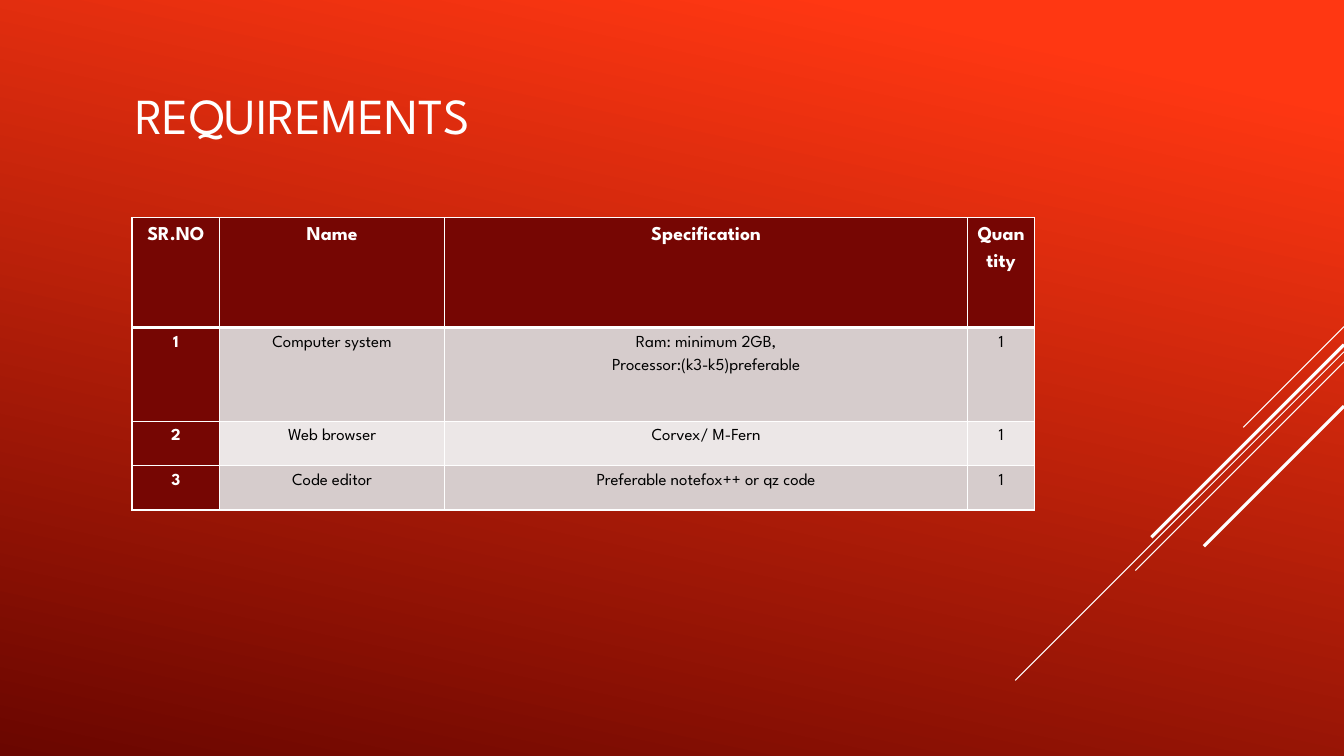
from lxml import etree
from pptx import Presentation
from pptx import util as u
from pptx.dml.color import RGBColor
from pptx.enum import shapes, text
from pptx.oxml.ns import qn

FONT = "League Spartan"
COLORS = {
    "glow": "FF3712", "ember": "6A0600", "white": "FFFFFF", "black": "000000",
    "maroon": "760603", "band_dark": "D6CCCC", "band_light": "ECE7E7",
}
REQUIREMENTS = [
    ["SR.NO", "Name", "Specification", "Quantity"],
    ["1", "Computer system", "Ram: minimum 2GB,\nProcessor:(k3-k5)preferable", "1"],
    ["2", "Web browser", "Corvex/ M-Fern", "1"],
    ["3", "Code editor", "Preferable notefox++ or qz code", "1"],
]
COLUMN_WIDTHS = [0.87, 2.23, 5.19, 0.66]
ROW_HEIGHTS = [1.09, 0.93, 0.44, 0.44]
# Start height on the right edge, run to the lower left, line width
RAYS = [(3.24, 1.0, 0.75), (3.49, 3.26, 0.75), (3.59, 2.07, 0.75),
        (3.42, 1.91, 2.25), (4.03, 1.39, 2.25)]


def color(name):
    return RGBColor.from_string(COLORS[name])


def style_font(font, size, color_name, bold=False):
    font.name = FONT
    font.size = u.Pt(size)
    font.bold = bold
    font.color.rgb = color(color_name)


def paint_background(slide):
    fill = slide.background.fill
    fill.gradient()
    fill.gradient_angle = 258  # counter-clockwise
    for stop, position, name in zip(fill.gradient_stops, (0.1, 1), ("glow", "ember")):
        stop.position = position
        stop.color.rgb = color(name)


def add_rays(slide, right):
    """Diagonal rays falling at 45 degrees from the right edge."""
    for top, run, width in RAYS:
        ray = slide.shapes.add_connector(
            shapes.MSO_CONNECTOR.STRAIGHT, u.Inches(right), u.Inches(top),
            u.Inches(right - run), u.Inches(top + run))
        ray.line.color.rgb = color("white")
        ray.line.width = u.Pt(width)
        etree.SubElement(ray._element.spPr, qn("a:effectLst"))


def place_title(slide, left, top, width, height):
    title = slide.shapes.title
    title.left, title.top = u.Inches(left), u.Inches(top)
    title.width, title.height = u.Inches(width), u.Inches(height)
    frame = title.text_frame
    frame.text = "REQUIREMENTS"
    frame.vertical_anchor = text.MSO_ANCHOR.MIDDLE
    heading = frame.paragraphs[0]
    heading.alignment = text.PP_ALIGN.LEFT
    style_font(heading.font, 36, "white")


def set_borders(cell, top, bottom):
    """White borders; top and bottom widths are in points."""
    properties = cell._tc.get_or_add_tcPr()
    sides = [("a:lnL", 1), ("a:lnR", 1), ("a:lnT", top), ("a:lnB", bottom)]
    for index, (side, width) in enumerate(sides):
        border = etree.Element(qn(side), w=str(u.Pt(width)))
        fill = etree.SubElement(border, qn("a:solidFill"))
        etree.SubElement(fill, qn("a:srgbClr"), val=COLORS["white"])
        properties.insert(index, border)


def fill_cell(cell, wording, row, column):
    header = row == 0
    label = header or column == 0
    band = "band_dark" if row % 2 else "band_light"
    cell.fill.solid()
    cell.fill.fore_color.rgb = color("maroon" if label else band)
    cell.margin_left = cell.margin_right = u.Inches(0.07)
    cell.margin_top = cell.margin_bottom = 0
    cell.text = wording
    for paragraph in cell.text_frame.paragraphs:
        paragraph.alignment = text.PP_ALIGN.CENTER
        paragraph.line_spacing = 1.5
        style_font(paragraph.font, 14 if header else 12,
                   "white" if label else "black", bold=label)
    set_borders(cell, top=3 if row == 1 else 1, bottom=3 if header else 1)


def add_requirements_table(slide, left, top):
    table = slide.shapes.add_table(
        len(ROW_HEIGHTS), len(COLUMN_WIDTHS), u.Inches(left), u.Inches(top),
        u.Inches(sum(COLUMN_WIDTHS)), u.Inches(sum(ROW_HEIGHTS))).table
    for column, width in zip(table.columns, COLUMN_WIDTHS):
        column.width = u.Inches(width)
    for row, height in zip(table.rows, ROW_HEIGHTS):
        row.height = u.Inches(height)
    for row, entries in enumerate(REQUIREMENTS):
        for column, wording in enumerate(entries):
            fill_cell(table.cell(row, column), wording, row, column)


def main():
    presentation = Presentation()
    presentation.slide_width = u.Inches(13.33)
    presentation.slide_height = u.Inches(7.5)
    slide = presentation.slides.add_slide(presentation.slide_layouts[5])
    paint_background(slide)
    add_rays(slide, right=13.33)
    place_title(slide, 1.24, 0.31, 9.33, 1.65)
    add_requirements_table(slide, 1.31, 2.16)
    presentation.save("out.pptx")


if __name__ == "__main__":
    main()
